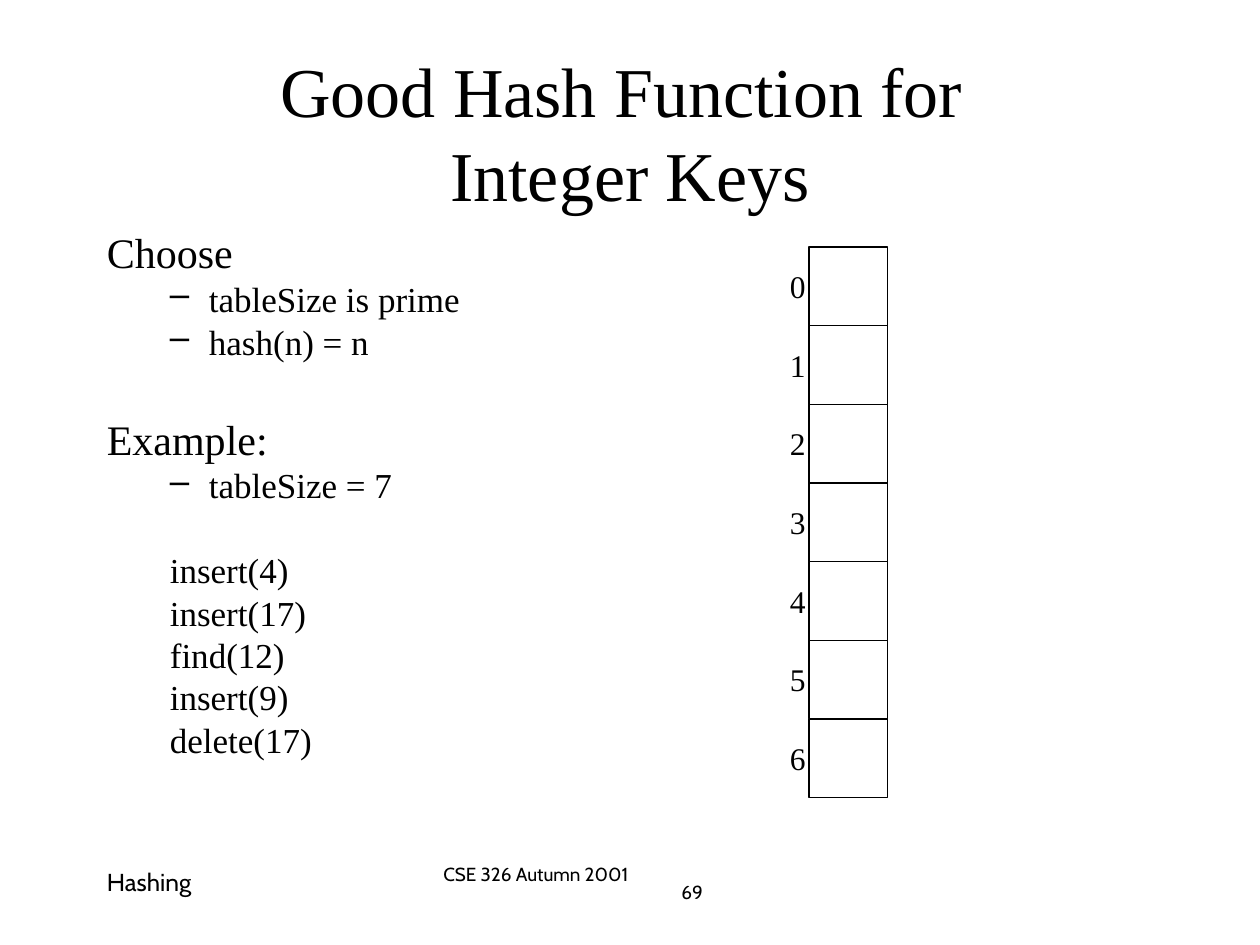
"""Build the slide on a good hash function for integer keys."""
import lxml.etree
import pptx
import pptx.dml.color
import pptx.enum.shapes
import pptx.enum.text
import pptx.oxml.ns
import pptx.util

THEME = {
    "ink": pptx.dml.color.RGBColor(0, 0, 0),
    "serif": "Times New Roman", "sans": "Cabin",
    "title": 40, "head": 24, "item": 20, "label": 18, "footer": 14, "course": 10.8,
}
ALIGN = pptx.enum.text.PP_ALIGN
ANCHOR = pptx.enum.text.MSO_ANCHOR
Inches = pptx.util.Inches
Pt = pptx.util.Pt

prs = pptx.Presentation()
prs.slide_width, prs.slide_height = Inches(10), Inches(7.5)
s = prs.slides.add_slide(prs.slide_layouts[6])


def add_box(left, top, width, height, **frame):
    tf = s.shapes.add_textbox(*map(Inches, (left, top, width, height))).text_frame
    for name, value in {"word_wrap": True, **frame}.items():
        setattr(tf, name, value)
    return tf


def write(tf, text, size, face="serif", indent=0, hang=0, bullet=None, **layout):
    p = tf.paragraphs[0] if not tf.text else tf.add_paragraph()
    pPr = p._p.get_or_add_pPr()
    pPr.set("marL", str(Inches(indent)))
    pPr.set("indent", str(Inches(-hang)))
    if bullet:
        tag = pptx.oxml.ns.qn("a:buChar")
        lxml.etree.SubElement(pPr, tag).set("char", bullet)
    for name, value in layout.items():
        setattr(p, name, value)
    p.text = text
    for r in p.runs:
        r.font.size, r.font.name = Pt(THEME[size]), THEME[face]
        r.font.color.rgb = THEME["ink"]


margin, content = 0.75, 8.5
footer_top, footer_height = 6.83, 0.5

write(add_box(margin, footer_top, 2.08, footer_height), "Hashing", "footer", "sans")
tf = add_box(3.42, footer_top, 3.17, footer_height)
for text, indent in (("CSE 326 Autumn 2001", 0), ("69", 1.89)):
    write(tf, text, "course", "sans", indent, line_spacing=0.8)

tf = add_box(margin, 0.42, content, 1.25, vertical_anchor=ANCHOR.MIDDLE)
write(tf, "Good Hash Function for \vInteger Keys", "title", alignment=ALIGN.CENTER)

head = {"size": "head", "indent": 0.38, "hang": 0.38}
item = {"size": "item", "indent": 0.81, "hang": 0.31}
dash = {**item, "bullet": "–"}
outline = [
    ("Choose", head, 0),
    ("tableSize is prime", dash, 5),
    ("hash(n) = n", dash, 5),
    ("Example:", head, 35),
    ("tableSize = 7", dash, 5),
    ("insert(4)", item, 29.2),
    ("insert(17)", item, 5),
    ("find(12)", item, 5),
    ("insert(9)", item, 5),
    ("delete(17)", item, 5),
]
tf = add_box(margin, 1.83, content, 4.5)
for text, style, before in outline:
    write(tf, text, **style, line_spacing=0.8, space_before=Pt(before))

slots = 7
table_left, table_top, table_height = 6.42, 1.96, 4.37
cell = table_height / slots
for i in range(slots):
    top = table_top + i * cell
    sp = s.shapes.add_shape(pptx.enum.shapes.MSO_SHAPE.RECTANGLE,
                            *map(Inches, (table_left, top, cell, cell)))
    sp.shadow.inherit = False
    sp.fill.background()
    sp.line.color.rgb, sp.line.width = THEME["ink"], Pt(0.75)
    tf = add_box(table_left - 0.25, top + 0.11, 0.32, 0.4, word_wrap=False,
                 auto_size=pptx.enum.text.MSO_AUTO_SIZE.SHAPE_TO_FIT_TEXT)
    write(tf, str(i), "label")

prs.save("out.pptx")
